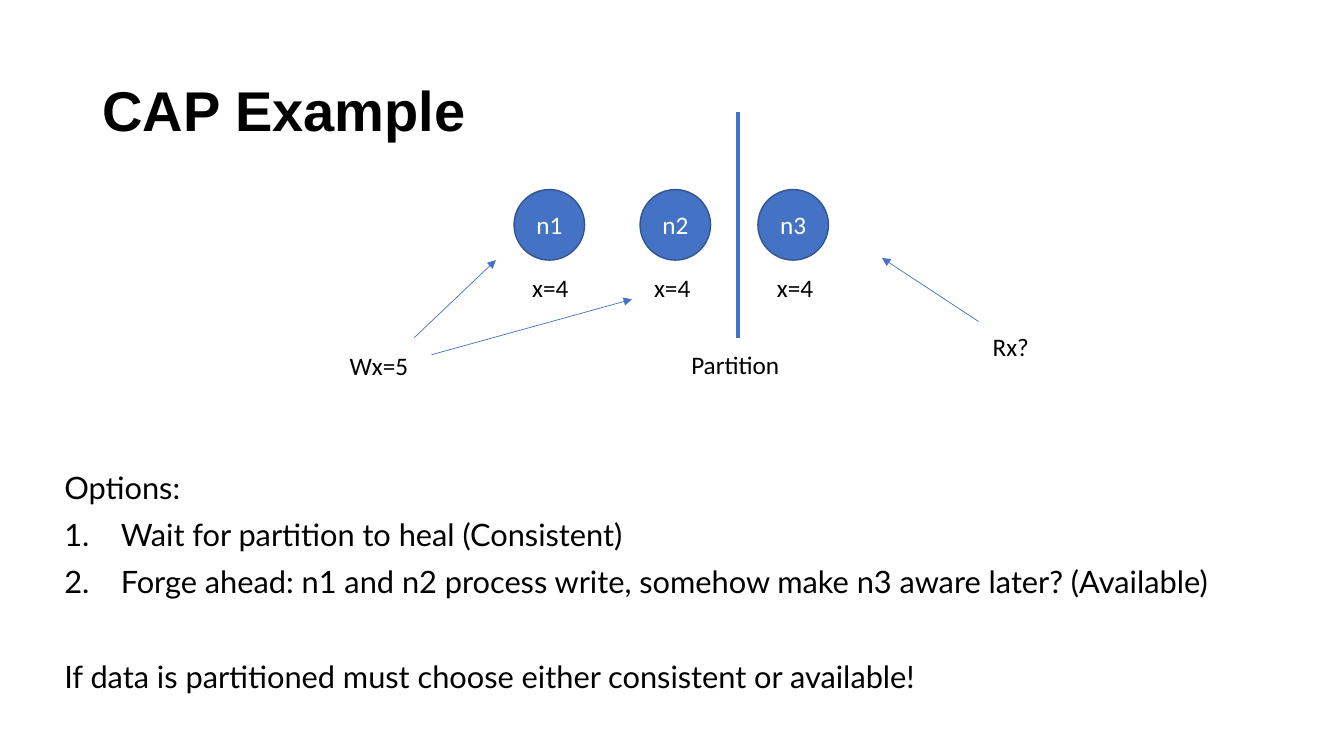
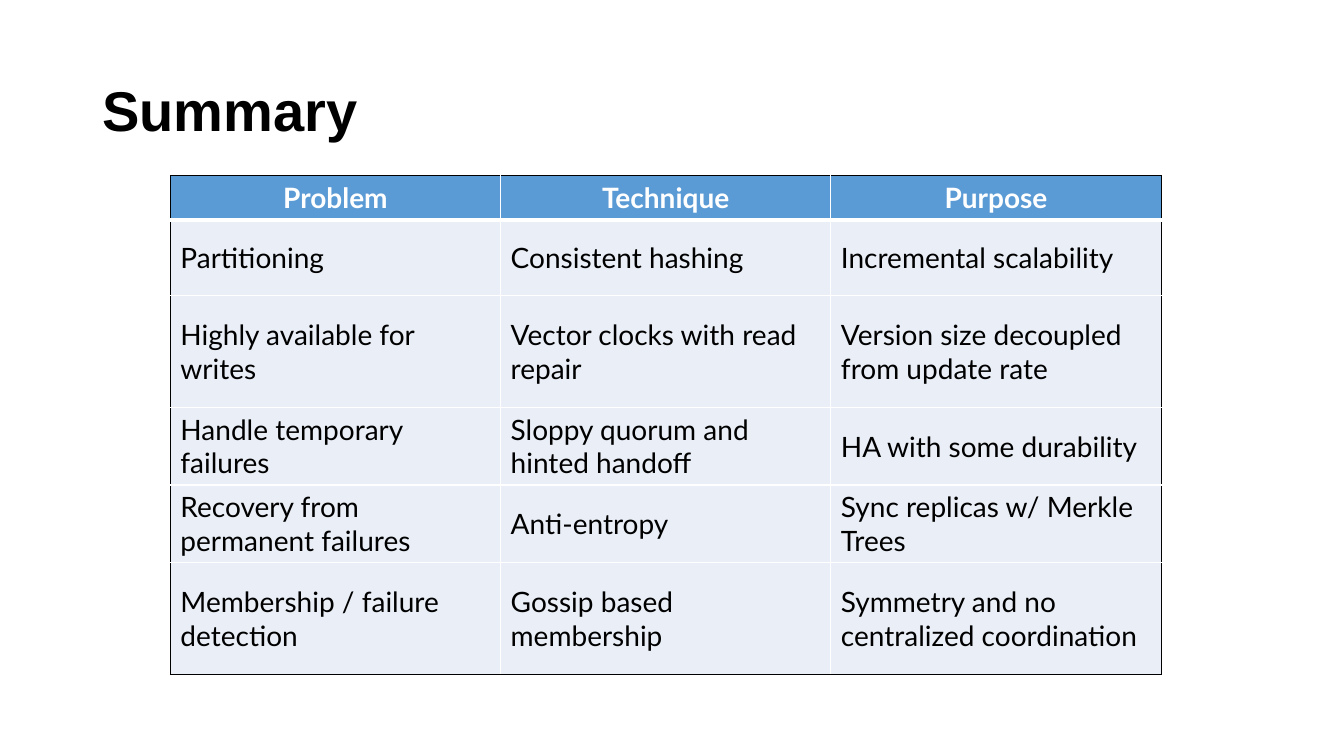
from dataclasses import dataclass

from lxml.etree import SubElement
from pptx import Presentation
from pptx.dml.color import RGBColor
from pptx.enum.shapes import MSO_CONNECTOR as Connector, MSO_SHAPE as Preset
from pptx.enum.text import MSO_ANCHOR as Anchor, MSO_AUTO_SIZE as AutoSize, PP_ALIGN as Align
from pptx.oxml.ns import qn
from pptx.slide import Slide
from pptx.util import Pt

# Shared look
BLACK = RGBColor(0x00, 0x00, 0x00)
WHITE = RGBColor(0xFF, 0xFF, 0xFF)
BLUE = RGBColor(0x44, 0x72, 0xC4)
DARK_BLUE = RGBColor(0x32, 0x54, 0x91)
HEADER_BLUE = RGBColor(0x5B, 0x9B, 0xD5)
PALE_BLUE = RGBColor(0xEA, 0xEF, 0xF7)


@dataclass(frozen=True)
class TextStyle:
    font: str
    size: float
    color: RGBColor = BLACK
    bold: bool = False


TITLE = TextStyle("Arial", 40, bold=True)
BODY = TextStyle("Lato", 22)
LABEL = TextStyle("Calibri", 18)
NODE = TextStyle("Calibri", 18, WHITE)
HEADER = TextStyle("Lato", 20, WHITE, True)
CELL = TextStyle("Lato", 20)


@dataclass(frozen=True)
class Label:
    text: str
    left: float
    top: float
    width: float


@dataclass(frozen=True)
class Line:
    x1: float
    y1: float
    x2: float
    y2: float
    width: float = 0.5
    arrow: bool = True


@dataclass(frozen=True)
class Point:
    text: str
    space_before: float = 10
    numbered: bool = False


# CAP diagram, lengths in points
NODE_TOP, NODE_SIZE = 135.4, 50.4
NODES = {"n1": 367.2, "n2": 457.2, "n3": 541.4}
LABEL_HEIGHT = 28.8
VALUE_TOP, VALUE_WIDTH = 190.8, 44.6
LABELS = [
    *(Label("x=4", left, VALUE_TOP, VALUE_WIDTH) for left in (373, 460.1, 547.9)),
    Label("Partition", 486.7, 246.2, 83.5),
    Label("Wx=5", 242.6, 247, 56.9),
    Label("Rx?", 702, 233.3, 40.3),
]
LINES = [
    Line(527, 79.9, 527, 241.2, width=3, arrow=False),
    Line(295.9, 241.2, 354.2, 185.8),
    Line(308.2, 253.4, 451.4, 213.8),
    Line(699.1, 229.7, 630, 184.3),
]
NUMBER_INDENT = 40.3
OPTIONS = [
    Point("Options:", space_before=0),
    Point("Wait for partition to heal (Consistent)", numbered=True),
    Point("Forge ahead: n1 and n2 process write, somehow make n3 aware later? (Available)",
          numbered=True),
    Point("If data is partitioned must choose either consistent or available!",
          space_before=43.8),
]

# Summary table
SUMMARY = [
    ("Problem", "Technique", "Purpose"),
    ("Partitioning", "Consistent hashing", "Incremental scalability"),
    ("Highly available for writes", "Vector clocks with read repair",
     "Version size decoupled from update rate"),
    ("Handle temporary failures", "Sloppy quorum and hinted handoff",
     "HA with some durability"),
    ("Recovery from permanent failures", "Anti-entropy", "Sync replicas w/ Merkle Trees"),
    ("Membership / failure detection", "Gossip based membership",
     "Symmetry and no centralized coordination"),
]
COLUMN_WIDTH = 235.9
ROW_HEIGHTS = (30.4, 54, 80, 55.2, 55.2, 80)


def add_run(paragraph, text: str, style: TextStyle) -> None:
    run = paragraph.add_run()
    run.text = text
    run.font.name = style.font
    run.font.size = Pt(style.size)
    run.font.bold = style.bold
    run.font.color.rgb = style.color


def add_titled_slide(deck, title: str) -> Slide:
    slide = deck.slides.add_slide(deck.slide_layouts[5])
    heading = slide.shapes.title
    heading.left, heading.top = Pt(66), Pt(28.8)
    heading.width, heading.height = Pt(828), Pt(104.4)
    frame = heading.text_frame
    frame.auto_size = AutoSize.NONE
    frame.vertical_anchor = Anchor.MIDDLE
    paragraph = frame.paragraphs[0]
    paragraph.alignment = Align.LEFT
    paragraph.line_spacing = 0.9
    add_run(paragraph, title, TITLE)
    return slide


def add_node(slide: Slide, name: str, left: float) -> None:
    node = slide.shapes.add_shape(
        Preset.OVAL, Pt(left), Pt(NODE_TOP), Pt(NODE_SIZE), Pt(NODE_SIZE))
    node.shadow.inherit = False
    node.fill.solid()
    node.fill.fore_color.rgb = BLUE
    node.line.color.rgb = DARK_BLUE
    node.line.width = Pt(1)
    node.text_frame.vertical_anchor = Anchor.MIDDLE
    paragraph = node.text_frame.paragraphs[0]
    paragraph.alignment = Align.CENTER
    add_run(paragraph, name, NODE)


def add_label(slide: Slide, label: Label) -> None:
    box = slide.shapes.add_textbox(
        Pt(label.left), Pt(label.top), Pt(label.width), Pt(LABEL_HEIGHT))
    box.text_frame.word_wrap = False
    add_run(box.text_frame.paragraphs[0], label.text, LABEL)


def add_line(slide: Slide, line: Line) -> None:
    connector = slide.shapes.add_connector(
        Connector.STRAIGHT, Pt(line.x1), Pt(line.y1), Pt(line.x2), Pt(line.y2))
    connector.line.color.rgb = BLUE
    connector.line.width = Pt(line.width)
    if line.arrow:
        SubElement(connector.line._get_or_add_ln(), qn("a:tailEnd"), type="triangle")
    SubElement(connector._element.spPr, qn("a:effectLst"))


def add_options(slide: Slide) -> None:
    box = slide.shapes.add_textbox(Pt(38.9), Pt(334), Pt(900), Pt(180))
    frame = box.text_frame
    frame.word_wrap = True
    for index, point in enumerate(OPTIONS):
        paragraph = frame.add_paragraph() if index else frame.paragraphs[0]
        paragraph.line_spacing = 0.9
        paragraph.space_before = Pt(point.space_before)
        if point.numbered:
            properties = paragraph._p.get_or_add_pPr()
            properties.set("marL", str(Pt(NUMBER_INDENT)))
            properties.set("indent", str(-Pt(NUMBER_INDENT)))
            SubElement(properties, qn("a:buFont"), typeface="+mj-lt")
            SubElement(properties, qn("a:buAutoNum"), type="arabicPeriod")
        add_run(paragraph, point.text, BODY)


def set_border(cell, side: str, color: RGBColor, width: float = 1) -> None:
    edge = SubElement(cell._tc.get_or_add_tcPr(), qn(f"a:ln{side}"), w=str(Pt(width)))
    fill = SubElement(edge, qn("a:solidFill"))
    SubElement(fill, qn("a:srgbClr"), val=str(color))


def add_summary_table(slide: Slide) -> None:
    row_count, column_count = len(SUMMARY), len(SUMMARY[0])
    table = slide.shapes.add_table(
        row_count, column_count, Pt(121.7), Pt(125.6),
        Pt(COLUMN_WIDTH * column_count), Pt(sum(ROW_HEIGHTS))).table
    table.first_row = table.horz_banding = False
    for column in table.columns:
        column.width = Pt(COLUMN_WIDTH)
    for r, (texts, height) in enumerate(zip(SUMMARY, ROW_HEIGHTS)):
        table.rows[r].height = Pt(height)
        is_header = r == 0
        for c, text in enumerate(texts):
            cell = table.cell(r, c)
            cell.vertical_anchor = Anchor.MIDDLE
            # Black frame, white grid, thick rule under the header
            set_border(cell, "L", BLACK if c == 0 else WHITE)
            set_border(cell, "R", BLACK if c == column_count - 1 else WHITE)
            set_border(cell, "T", BLACK if is_header else WHITE, 3 if r == 1 else 1)
            set_border(cell, "B", BLACK if r == row_count - 1 else WHITE, 3 if is_header else 1)
            cell.fill.solid()
            cell.fill.fore_color.rgb = HEADER_BLUE if is_header else PALE_BLUE
            paragraph = cell.text_frame.paragraphs[0]
            paragraph.alignment = Align.CENTER if is_header else Align.LEFT
            add_run(paragraph, text, HEADER if is_header else CELL)


def main() -> None:
    deck = Presentation()
    deck.slide_width, deck.slide_height = Pt(960), Pt(540)

    # Slide 1: CAP diagram and options
    cap = add_titled_slide(deck, "CAP Example")
    add_options(cap)
    for name, left in NODES.items():
        add_node(cap, name, left)
    for label in LABELS:
        add_label(cap, label)
    for line in LINES:
        add_line(cap, line)

    # Slide 2: summary table
    add_summary_table(add_titled_slide(deck, "Summary"))

    deck.save("out.pptx")


if __name__ == "__main__":
    main()
